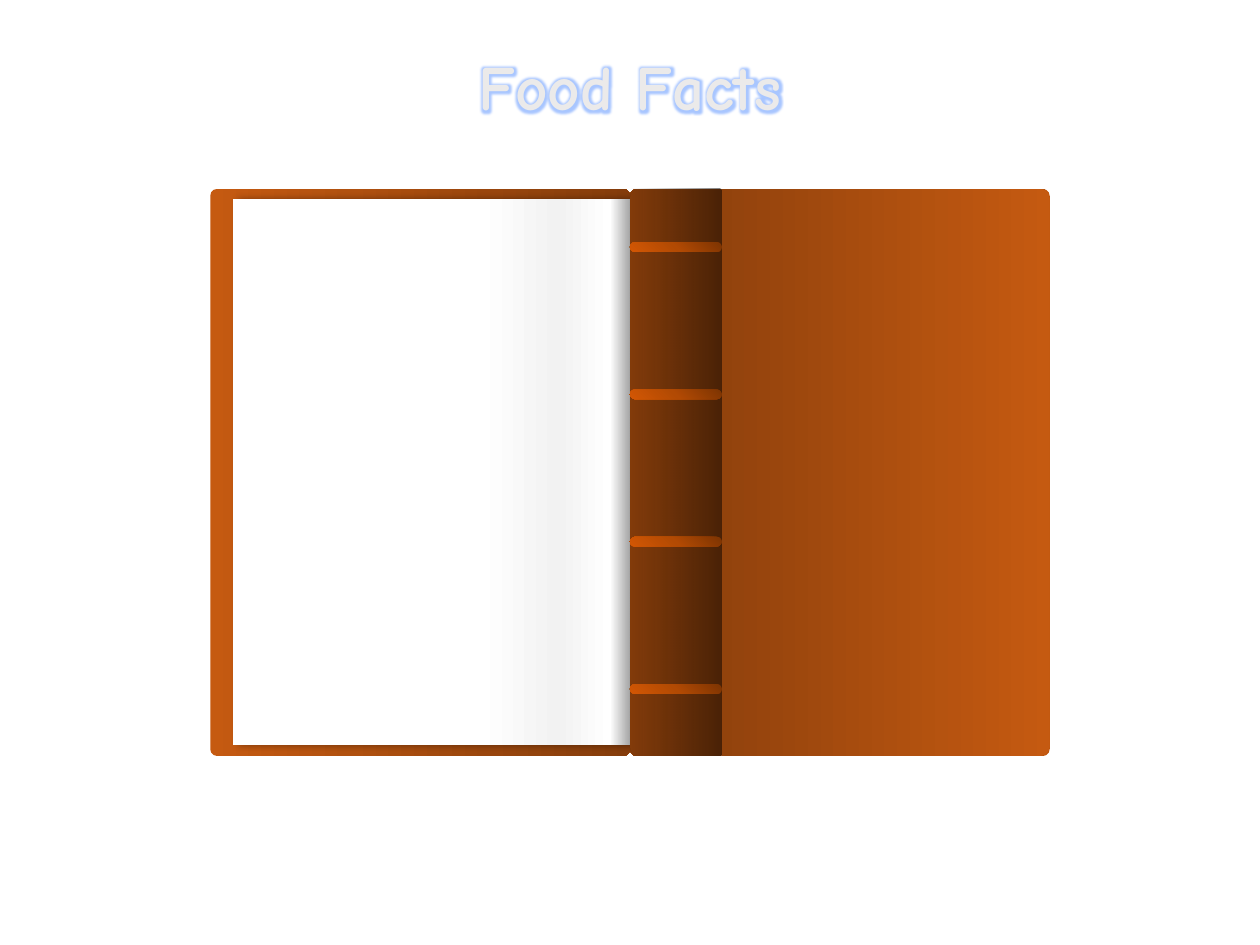
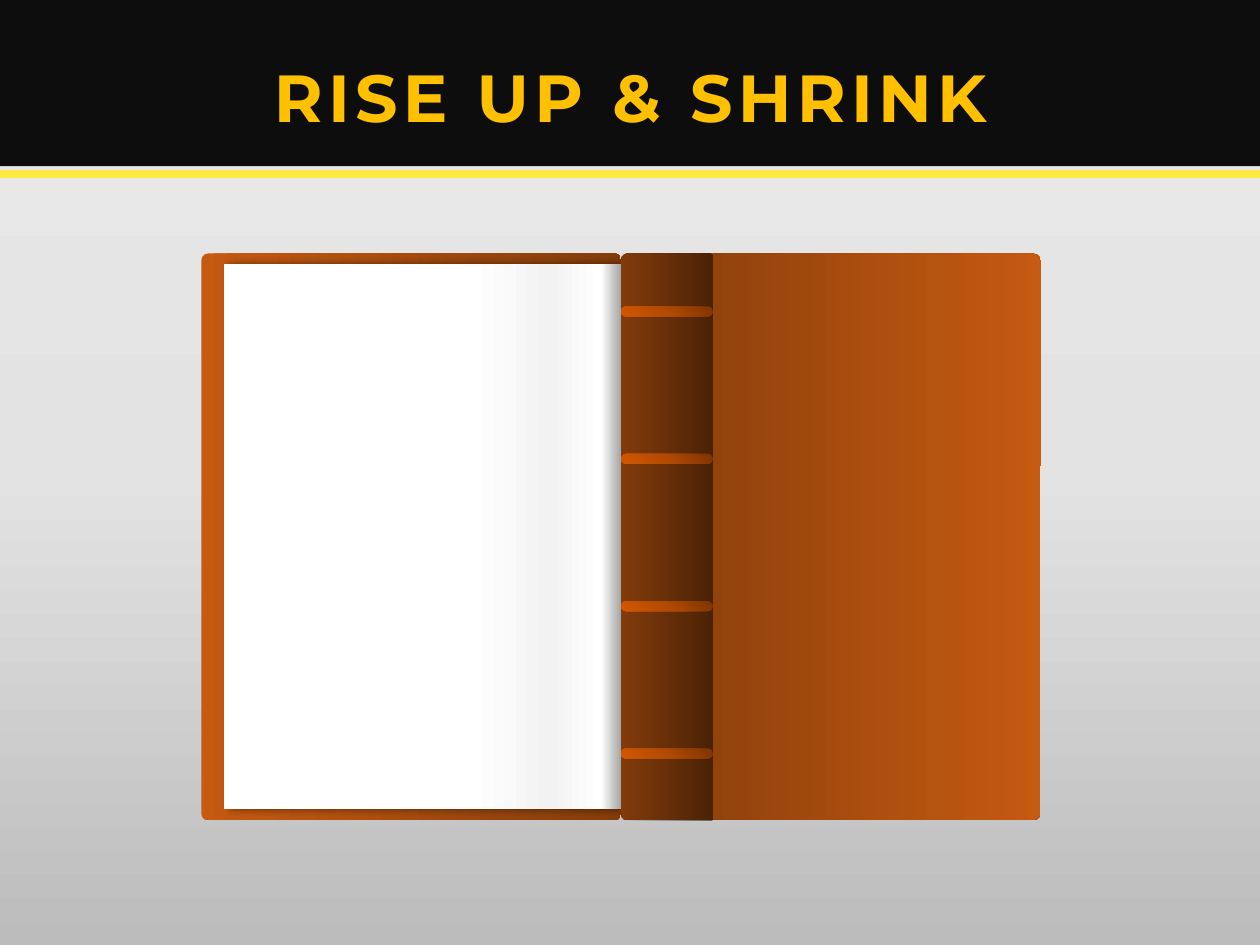
import pptx
import pptx.dml.color
import pptx.enum.shapes
import pptx.enum.text
import pptx.oxml
import pptx.oxml.ns
import pptx.util
from lxml import etree

Cm = pptx.util.Cm
Pt = pptx.util.Pt
qn = pptx.oxml.ns.qn
KIND = pptx.enum.shapes.MSO_SHAPE

HUES = {
    "leather": "C55A11", "shade": "843C0B", "black": "000000",
    "rib_dark": "7D3402", "rib_mid": "B24A03", "rib_light": "D35704",
    "gutter": "A6A6A6", "paper": "FFFFFF", "bend": "F2F2F2", "edge": "D9D9D9",
    "pale": "EBEAEA", "mist": "E4E3E3", "ash": "BDBCBC",
    "border": "3A5274", "glow": "6FA0FF",
    "header": "0D0D0D", "rule": "FFE83F",
    "lemon": "FFD63F", "gold": "FFC000", "peach": "FFA367",
}

# Gradient stops: position, colour name, opacity, all in percent
COVER = [(0, "leather", 100), (100, "shade", 100)]
FRONT = [(0, "shade", 100), (100, "leather", 100)]
PAGE = [(0, "gutter", 100), (5, "paper", 100), (18, "bend", 100),
        (38, "paper", 100), (100, "paper", 100)]
SPINE = [(0, "black", 50), (100, "black", 0)]
RIB = [(0, "rib_dark", 100), (50, "rib_mid", 100), (100, "rib_light", 100)]
WALL = [(0, "pale", 100), (50, "mist", 100), (100, "ash", 100)]
SHINE = [(0, "lemon", 100), (75, "gold", 100), (100, "peach", 100)]

# Book measures in centimetres
WIDE, HIGH = 8.46, 11.43
LEAF_W, LEAF_H, INSET = 8.0, 11.0, 0.21
SPINE_W, RIB_H, RIB_TOP, RIB_STEP = 1.85, 0.2, 1.07, 2.97
EDGES = (7.2, 7.4, 7.55, 7.66, 7.77, 7.88)


def rgb(name):
    return pptx.dml.color.RGBColor.from_string(HUES[name])


def node(home, tag, **attrs):
    """Add a DrawingML child element."""
    return etree.SubElement(home, qn("a:" + tag),
                            {key: str(val) for key, val in attrs.items()})


def tint(home, name, alpha):
    node(node(home, "srgbClr", val=HUES[name]), "alpha", val=alpha * 1000)


def blend(home, stops, angle):
    """Swap the solid fill inside home for a linear gradient."""
    old = home.find(qn("a:solidFill"))
    grad = node(home, "gradFill", rotWithShape=1)
    row = node(grad, "gsLst")
    for pos, name, alpha in stops:
        tint(node(row, "gs", pos=pos * 1000), name, alpha)
    node(grad, "lin", ang=angle * 60000, scaled=0)
    home.replace(old, grad)


def block(home, kind, box, stops=None, angle=0, round_by=None, hue="paper"):
    """Add a shape without outline, filled with a gradient or one colour."""
    item = home.add_shape(kind, *map(Cm, box))
    item.shadow.inherit = False
    item.line.fill.background()
    item.fill.solid()
    item.fill.fore_color.rgb = rgb(hue)
    if stops:
        blend(item.element.spPr, stops, angle)
    if round_by is not None:
        item.adjustments[0] = round_by
    return item


def stroke(home, start, end, hue, width):
    line = home.add_connector(pptx.enum.shapes.MSO_CONNECTOR.STRAIGHT,
                              *map(Cm, start + end))
    line.line.color.rgb = rgb(hue)
    line.line.width = Pt(width)
    node(line.element.spPr, "effectLst")


def leaf(home, left, top, turn):
    """Add a page with a soft shadow, its gutter at the spine."""
    page = block(home, KIND.RECTANGLE, (left, top + INSET, LEAF_W, LEAF_H),
                 PAGE, 180)
    page.rotation = turn
    fx = page.element.spPr.find(qn("a:effectLst"))
    cast = node(fx, "outerShdw", blurRad=Pt(4), dist=Pt(3), dir=0)
    tint(cast, "black", 40)


def half(slide, spine, top, right):
    """Add one inner half of the book, a cover board with its page."""
    home = slide.shapes.add_group_shape().shapes
    turn = 180 if right else 0
    board = block(home, KIND.ROUNDED_RECTANGLE,
                  (spine if right else spine - WIDE, top, WIDE, HIGH),
                  COVER, 0, 0.016)
    board.rotation = turn
    leaf(home, spine if right else spine - LEAF_W, top, turn)
    if right:
        for gap in EDGES:
            x = spine + gap
            stroke(home, (x, top + INSET), (x, top + INSET + LEAF_H),
                   "edge", 0.75)


def front(slide, spine, top):
    """Add the front cover with its ribbed spine."""
    home = slide.shapes.add_group_shape().shapes
    kind = KIND.ROUNDED_RECTANGLE
    block(home, kind, (spine, top, WIDE, HIGH), FRONT, 0, 0.022)
    block(home, kind, (spine, top, SPINE_W, HIGH), SPINE, 180, 0.022)
    for i in range(4):
        block(home, kind,
              (spine, top + RIB_TOP + i * RIB_STEP, SPINE_W, RIB_H),
              RIB, 135, 0.5)


def book(slide, spine, top):
    half(slide, spine, top, True)
    half(slide, spine, top, False)
    front(slide, spine, top)


def title(slide, text, box, face, size, hue, wrap=True):
    """Fill the title, bring it to the front and return its run properties."""
    item = slide.shapes.title
    slide.shapes.element.append(item.element)
    item.left, item.top, item.width, item.height = map(Cm, box)
    frame = item.text_frame
    frame.text = text
    frame.word_wrap = wrap
    frame.auto_size = pptx.enum.text.MSO_AUTO_SIZE.SHAPE_TO_FIT_TEXT
    frame.vertical_anchor = pptx.enum.text.MSO_ANCHOR.TOP
    para = frame.paragraphs[0]
    para.alignment = pptx.enum.text.PP_ALIGN.CENTER
    para.font.name, para.font.size, para.font.bold = face, Pt(size), True
    para.font.color.rgb = rgb(hue)
    return para, para.runs[0]


def halo(run):
    """Give the letters a thin outline and a soft glow."""
    props = run.font._element
    edge = node(props, "ln", w=Pt(1))
    node(node(edge, "solidFill"), "srgbClr", val=HUES["border"])
    fx = node(props, "effectLst")
    tint(node(fx, "glow", rad=Pt(5)), "glow", 60)


def facts(deck):
    slide = deck.slides.add_slide(deck.slide_layouts[5])
    book(slide, 12.7, 3.81)
    para, run = title(slide, "Food Facts", (4.23, 0.84, 16.94, 1.8),
                      "Comic Neue", 36, "pale")
    halo(run)


def shrink(deck):
    slide = deck.slides.add_slide(deck.slide_layouts[5])
    slide.background.fill.solid()
    blend(slide.element.find(".//" + qn("p:bgPr")), WALL, 90)
    block(slide.shapes, KIND.RECTANGLE, (0, -0.03, 25.4, 3.38), hue="header")
    para, run = title(slide, "RISE UP & SHRINK", (4.52, 1.19, 16.38, 1.73),
                      "Montserrat", 38, "gold", False)
    para.line_spacing = 0.9
    run.font.fill.solid()
    props = run.font._element
    props.set("spc", "300")
    blend(props, SHINE, 90)
    stroke(slide.shapes, (0, 3.5), (25.4, 3.5), "rule", 4.5)
    book(slide, 12.52, 5.11)


def main():
    deck = pptx.Presentation()
    deck.slide_width, deck.slide_height = Cm(25.4), Cm(19.05)
    facts(deck)
    shrink(deck)
    deck.save("out.pptx")


if __name__ == "__main__":
    main()
